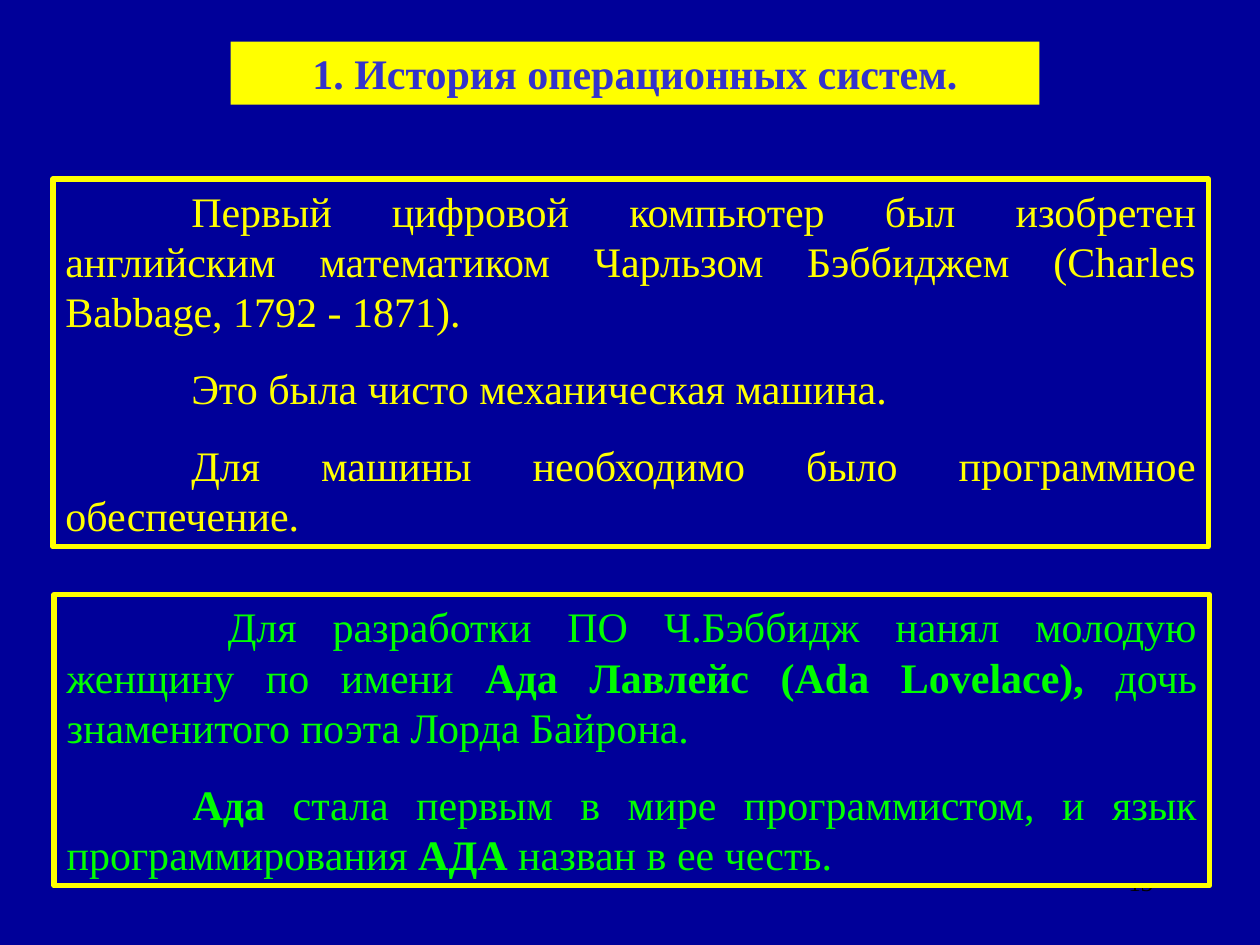
from pptx import Presentation
from pptx.dml.color import RGBColor
from pptx.enum.shapes import MSO_SHAPE
from pptx.enum.text import MSO_ANCHOR, MSO_AUTO_SIZE, PP_ALIGN
from pptx.util import Inches, Pt

RECTANGLE = MSO_SHAPE.RECTANGLE
TOP, NO_FIT = MSO_ANCHOR.TOP, MSO_AUTO_SIZE.NONE
CENTER, RIGHT, JUSTIFY = PP_ALIGN.CENTER, PP_ALIGN.RIGHT, PP_ALIGN.JUSTIFY

NAVY = RGBColor(0x00, 0x00, 0x99)
BLUE = RGBColor(0x33, 0x33, 0xCC)
YELLOW = RGBColor(0xFF, 0xFF, 0x00)
GREEN = RGBColor(0x00, 0xFF, 0x00)
BLACK = RGBColor(0x00, 0x00, 0x00)

FRAME = {"word_wrap": True, "auto_size": NO_FIT, "vertical_anchor": TOP,
         "margin_left": Inches(0.1), "margin_right": Inches(0.1),
         "margin_top": Inches(0.05), "margin_bottom": Inches(0.05)}

prs = Presentation()
prs.slide_width, prs.slide_height = Inches(10), Inches(7.5)
W, H = prs.slide_width, prs.slide_height
slide = prs.slides.add_slide(prs.slide_layouts[5])
slide.background.fill.solid()
slide.background.fill.fore_color.rgb = NAVY


def write(shape, paragraphs, color, align, size=24):
    """Fill a shape with (first-line indent, [(text, bold), ...]) paragraphs."""
    frame = shape.text_frame
    for key, value in FRAME.items():
        setattr(frame, key, value)
    for i, (indent, runs) in enumerate(paragraphs):
        paragraph = frame.paragraphs[0] if i == 0 else frame.add_paragraph()
        paragraph.alignment = align
        paragraph.line_spacing = Pt(size * 1.2)
        paragraph.space_before = Pt(15 if i else 0)
        if indent:
            paragraph._p.get_or_add_pPr().set("indent", str(Inches(indent)))
        for text, bold in runs:
            run = paragraph.add_run()
            run.text = text
            font = {"name": "Times New Roman", "size": Pt(size), "bold": bold}
            for key, value in font.items():
                setattr(run.font, key, value)
            run.font.color.rgb = color


# Title band
title = slide.shapes.title
title.left, title.top = Inches(1.83), Inches(0.33)
title.width, title.height = Inches(6.42), Inches(0.5)
title.fill.solid()
title.fill.fore_color.rgb = YELLOW
write(title, [(0, [("1. История операционных систем.", True)])], BLUE, CENTER)

# Slide number, mostly behind the lower panel
number = slide.shapes.add_textbox(Inches(7.17), Inches(6.83), Inches(2.08), Inches(0.5))
write(number, [(0, [("13", False)])], BLACK, RIGHT, size=14)

# Framed panels: left, top, height, text colour, paragraphs
babbage = [
    (1, [("Первый цифровой компьютер был изобретен английским математиком "
          "Чарльзом Бэббиджем (Charles Babbage, 1792 - 1871).", False)]),
    (1, [("Это была чисто механическая машина.", False)]),
    (1, [("Для машины необходимо было программное обеспечение.", False)]),
]
lovelace = [
    (1.28, [("Для разработки ПО Ч.Бэббидж нанял молодую женщину по имени ", False),
            ("Ада Лавлейс (Ada Lovelace),", True),
            (" дочь знаменитого поэта Лорда Байрона.", False)]),
    (1, [("Ада", True),
         (" стала первым в мире программистом, и язык программирования ", False),
         ("АДА", True),
         (" назван в ее честь.", False)]),
]
panels = [(0.42, 1.42, 2.92, YELLOW, babbage),
          (0.43, 4.72, 2.31, GREEN, lovelace)]
for left, top, height, color, story in panels:
    panel = slide.shapes.add_shape(RECTANGLE, Inches(left), Inches(top),
                                   Inches(9.17), Inches(height))
    panel.shadow.inherit = False
    panel.fill.solid()
    panel.fill.fore_color.rgb = NAVY
    panel.line.color.rgb = YELLOW
    panel.line.width = Pt(3)
    write(panel, story, color, JUSTIFY)

prs.save("out.pptx")
